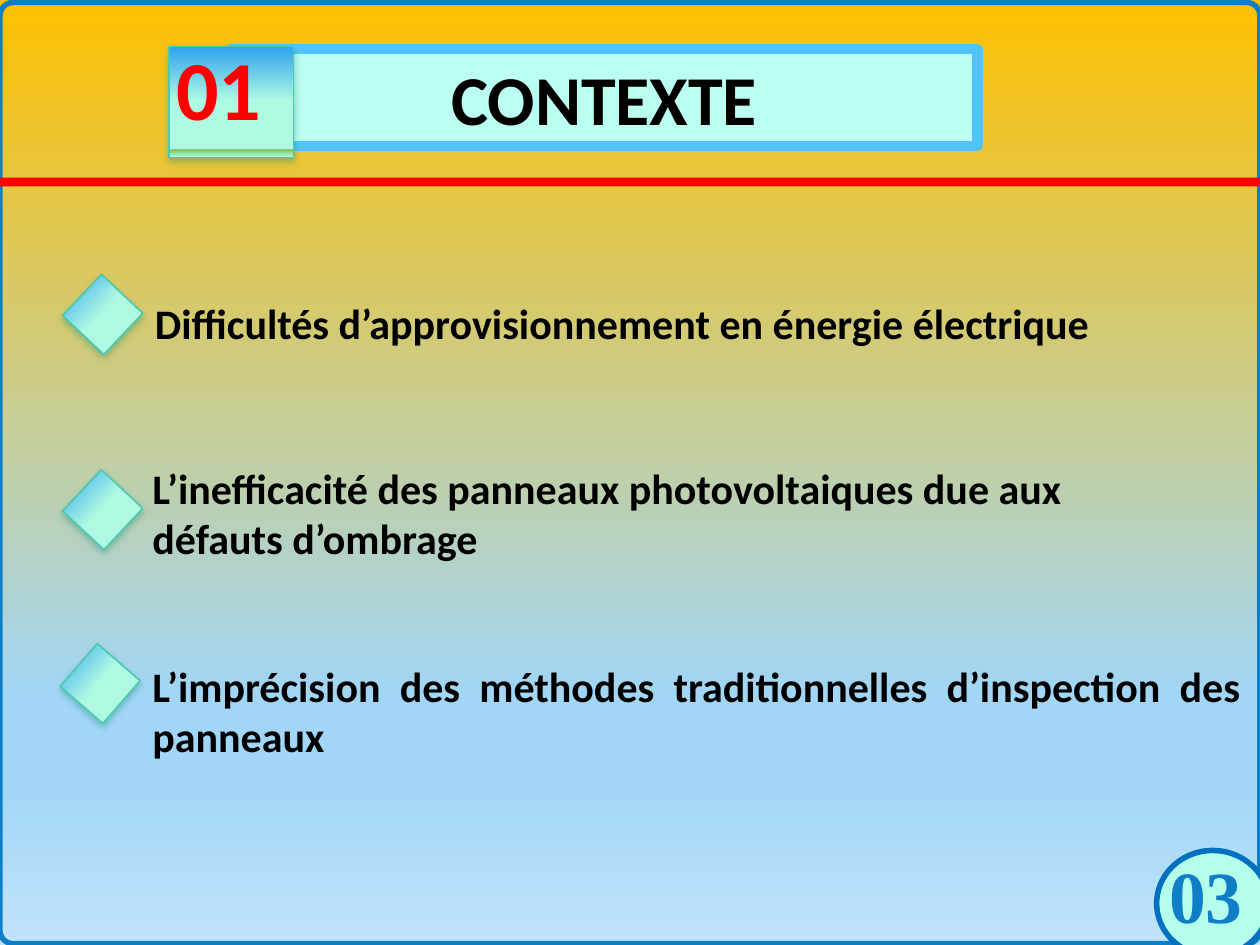
from dataclasses import dataclass

import pptx
import pptx.dml.color
import pptx.enum.shapes
import pptx.enum.text
import pptx.oxml
import pptx.oxml.ns
import pptx.util

SHAPE = pptx.enum.shapes.MSO_SHAPE
ALIGN = pptx.enum.text.PP_ALIGN
ANCHOR = pptx.enum.text.MSO_ANCHOR
FIT = pptx.enum.text.MSO_AUTO_SIZE
COLS, ROWS = 100, 75


@dataclass(frozen=True)
class Theme:
    font: str = "Calibri"
    number_font: str = "Times New Roman"
    title_size: int = 40
    section_size: int = 48
    body_size: int = 24
    page_size: int = 42
    ink: str = "000000"
    red: str = "FF0000"
    blue: str = "107EC6"
    badge_line: str = "0070C0"
    badge_fill: str = "B5FFED"
    title_fill: str = "BBFFF0"
    title_line: str = "52C3FC"
    tile_line: str = "4BCAAD"
    tile_shadow: str = "1A8A71"
    sky: tuple = ((0, "FFC000"), (74, "A1D6F7"), (83, "A1D6F7"), (100, "C1E3FA"))
    tile: tuple = ((0, "2FA3EE"), (49, "AFF9E2"), (92, "AFF9E2"),
                   (93, "86C157"), (100, "BEF8E6"))


@dataclass(frozen=True)
class Box:
    x: float
    y: float
    w: float
    h: float

    def at(self, col, row, cols, rows):
        return Box(self.x + col, self.y + row, cols, rows)

    def emu(self):
        unit = pptx.util.Inches(10) / COLS
        return [round(v * unit) for v in (self.x, self.y, self.w, self.h)]


T = Theme()


def rgb(code):
    return pptx.dml.color.RGBColor.from_string(code)


def element(xml):
    return pptx.oxml.parse_xml(xml.replace(" ", f" {pptx.oxml.ns.nsdecls('a')} ", 1))


def set_gradient(fill, root, stops):
    fill.gradient()
    fill.gradient_angle = 270
    stop_list = next(root.iter(pptx.oxml.ns.qn("a:gsLst")))
    for gs in list(stop_list):
        stop_list.remove(gs)
    for pos, code in stops:
        stop_list.append(element(
            f'<a:gs pos="{pos * 1000}"><a:srgbClr val="{code}"/></a:gs>'))


def set_line(sp, color, width):
    sp.line.color.rgb = rgb(color)
    sp.line.width = pptx.util.Pt(width)


def add_shape(shapes, kind, box, fill=None, line=None, width=1):
    sp = shapes.add_shape(kind, *box.emu())
    sp.shadow.inherit = False
    if fill:
        sp.fill.solid()
        sp.fill.fore_color.rgb = rgb(fill)
    else:
        sp.fill.background()
    if line:
        set_line(sp, line, width)
    else:
        sp.line.fill.background()
    return sp


def add_tile(shapes, box, rotation=0):
    sp = add_shape(shapes, SHAPE.RECTANGLE, box, line=T.tile_line, width=0.9)
    set_gradient(sp.fill, sp._element, T.tile)
    sp.rotation = rotation
    effects = sp._element.spPr.find(pptx.oxml.ns.qn("a:effectLst"))
    effects.append(element(
        '<a:outerShdw blurRad="50800" dist="25400" dir="5400000" rotWithShape="0">'
        f'<a:srgbClr val="{T.tile_shadow}"><a:alpha val="38000"/></a:srgbClr>'
        '</a:outerShdw>'))


def set_text(sp, text, size, color, font=T.font, align=ALIGN.LEFT, anchor=ANCHOR.TOP):
    tf = sp.text_frame
    tf.text = text
    tf.word_wrap = True
    tf.auto_size = FIT.NONE
    tf.vertical_anchor = anchor
    p = tf.paragraphs[0]
    p.alignment = align
    p.space_before = pptx.util.Pt(0)
    r = p.runs[0]
    r.font.name = font
    r.font.size = pptx.util.Pt(size)
    r.font.bold = True
    r.font.color.rgb = rgb(color)


def place(sp, box):
    sp.left, sp.top, sp.width, sp.height = box.emu()


def draw_frame(slide, box):
    set_gradient(slide.background.fill, slide._element, T.sky)
    sp = add_shape(slide.shapes, SHAPE.ROUNDED_RECTANGLE,
                   box.at(0, 0.2, box.w, box.h - 0.3), line=T.blue, width=3.15)
    sp.adjustments[0] = 0.014


def draw_header(slide, box, number, title):
    shapes = slide.shapes
    sp = shapes.title
    place(sp, box.at(18.3, 3.9, 59.3, 7.7))
    sp.fill.solid()
    sp.fill.fore_color.rgb = rgb(T.title_fill)
    set_line(sp, T.title_line, 6)
    set_text(sp, title, T.title_size, T.ink, align=ALIGN.CENTER)
    add_tile(shapes, box.at(13.4, 3.7, 9.9, 8.8))
    tb = shapes.add_textbox(*box.at(13, 2.4, 10.3, 9.1).emu())
    set_text(tb, number, T.section_size, T.red)
    add_shape(shapes, SHAPE.RECTANGLE, box.at(0, box.h - 0.7, box.w, 0.7), T.red)


def draw_points(slide, box, points):
    bodies = [ph for ph in slide.placeholders if ph.placeholder_format.idx > 0]
    for sp, (text, align, text_cell, tile_cell, rotation) in zip(bodies, points):
        place(sp, box.at(*text_cell))
        set_text(sp, text, T.body_size, T.ink, align=align, anchor=ANCHOR.MIDDLE)
        p_pr = sp.text_frame.paragraphs[0]._p.get_or_add_pPr()
        p_pr.set("marL", "0")
        p_pr.set("indent", "0")
        p_pr.append(element('<a:buNone />'))
        add_tile(slide.shapes, box.at(*tile_cell, 4.5, 4.5), rotation)
    for sp in bodies[len(points):]:
        sp._element.getparent().remove(sp._element)


def draw_page_badge(slide, box, number):
    shapes = slide.shapes.add_group_shape().shapes
    add_shape(shapes, SHAPE.OVAL, box, T.badge_fill, T.badge_line, 3.15)
    tb = shapes.add_textbox(*box.at(0, 0.5, 10.7, 6).emu())
    set_text(tb, number, T.page_size, T.blue, T.number_font, ALIGN.JUSTIFY, ANCHOR.MIDDLE)


def main():
    prs = pptx.Presentation()
    prs.slide_width = pptx.util.Inches(10)
    prs.slide_height = pptx.util.Inches(7.5)
    slide = prs.slides.add_slide(prs.slide_layouts.get_by_name("Comparison"))
    page = Box(0, 0, COLS, ROWS)
    points = [
        ("Difficultés d’approvisionnement en énergie électrique", ALIGN.JUSTIFY,
         (5.6, 4.6, 78.1, 12.4), (0.2, 7.9), 313.4),
        ("L’inefficacité des panneaux photovoltaiques due aux défauts d’ombrage",
         ALIGN.LEFT, (5.4, 21.7, 83.1, 8.4), (0.2, 23.4), 313.1),
        ("L’imprécision des méthodes traditionnelles d’inspection des panneaux",
         ALIGN.JUSTIFY, (5.4, 37.4, 88.4, 8.4), (0, 37.2), 311),
    ]
    draw_frame(slide, page)
    draw_points(slide, page.at(5.7, 14.8, 93.8, 45.8), points)
    draw_header(slide, page.at(0, 0, COLS, 14.8), "01", "CONTEXTE")
    draw_page_badge(slide, page.at(91.8, 67.5, 8.9, 8.4), "03")
    prs.save("out.pptx")


if __name__ == "__main__":
    main()
